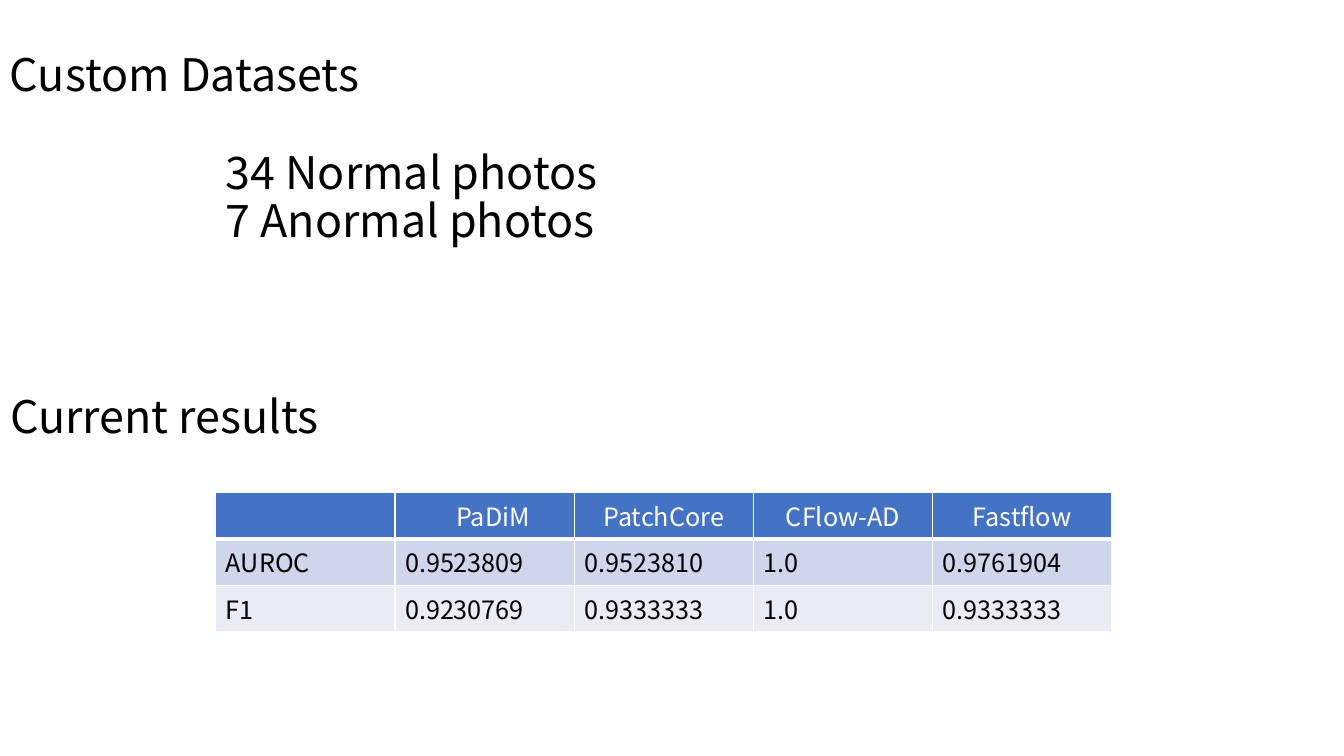
from dataclasses import dataclass

from lxml.etree import SubElement
from pptx import Presentation
from pptx.dml.color import RGBColor as Rgb
from pptx.enum.text import MSO_ANCHOR as Anchor, PP_ALIGN as Align
from pptx.oxml.ns import qn
from pptx.util import Cm, Pt


@dataclass(frozen=True)
class Theme:
    font: str = "Noto Sans CJK SC"
    heading: int = 32
    cell: int = 18
    black: str = "000000"
    white: str = "FFFFFF"
    header: str = "4472C4"
    bands: tuple = ("CFD5EA", "E9EBF5")


THEME = Theme()
BOX_WIDTH, BOX_HEIGHT = Cm(29.21), Cm(3.68)
INDENT = Cm(5.44)


def write_heading(shape, lines):
    """Fill a title or text box with left-aligned, middle-anchored lines."""
    frame = shape.text_frame
    frame.word_wrap = True
    frame.vertical_anchor = Anchor.MIDDLE
    frame.text = "\n".join(lines)
    for para in frame.paragraphs:
        para.alignment = Align.LEFT
        para.line_spacing = 0.9
        para.font.name = THEME.font
        para.font.size = Pt(THEME.heading)
        para.font.color.rgb = Rgb.from_string(THEME.black)


def draw_borders(cell, top, bottom):
    """Give the cell white borders; top and bottom are widths in points."""
    properties = cell._tc.get_or_add_tcPr()
    edges = (("a:lnL", 1), ("a:lnR", 1), ("a:lnT", top), ("a:lnB", bottom))
    for position, (tag, width) in enumerate(edges):
        line = SubElement(properties, qn(tag), w=str(Pt(width)))
        fill = SubElement(line, qn("a:solidFill"))
        SubElement(fill, qn("a:srgbClr"), val=THEME.white)
        properties.insert(position, line)  # borders come before the fill


deck = Presentation()
deck.slide_width, deck.slide_height = Cm(33.87), Cm(19.05)
page = deck.slides.add_slide(deck.slide_layouts[5])

title = page.shapes.title
title.left, title.top = Cm(0), Cm(8.71)
title.width, title.height = BOX_WIDTH, BOX_HEIGHT
write_heading(title, ["Current results"])

results = [
    ["", "PaDiM", "PatchCore", "CFlow-AD", "Fastflow"],
    ["AUROC", "0.9523809", "0.9523810", "1.0", "0.9761904"],
    ["F1", "0.9230769", "0.9333333", "1.0", "0.9333333"],
]
table = page.shapes.add_table(
    len(results), len(results[0]), INDENT, Cm(12.4), Cm(22.58), Cm(3.09)
).table
for row, values in enumerate(results):
    is_header = row == 0
    background = THEME.header if is_header else THEME.bands[row - 1]
    for column, value in enumerate(values):
        cell = table.cell(row, column)
        cell.fill.solid()
        cell.fill.fore_color.rgb = Rgb.from_string(background)
        draw_borders(cell, top=3 if row == 1 else 1, bottom=3 if is_header else 1)
        cell.text = value
        para = cell.text_frame.paragraphs[0]
        para.alignment = Align.CENTER if is_header else Align.LEFT
        para.font.name = THEME.font
        para.font.size = Pt(THEME.cell)
        para.font.bold = False
        para.font.color.rgb = Rgb.from_string(THEME.white if is_header else THEME.black)
table.cell(0, 1).margin_left = Cm(0.68)

for left, top, lines in (
    (Cm(0), Cm(0.1), ["Custom Datasets"]),
    (INDENT, Cm(3.18), ["34 Normal photos", "7 Anormal photos"]),
):
    box = page.shapes.add_textbox(left, top, BOX_WIDTH, BOX_HEIGHT)
    write_heading(box, lines)

deck.save("out.pptx")
